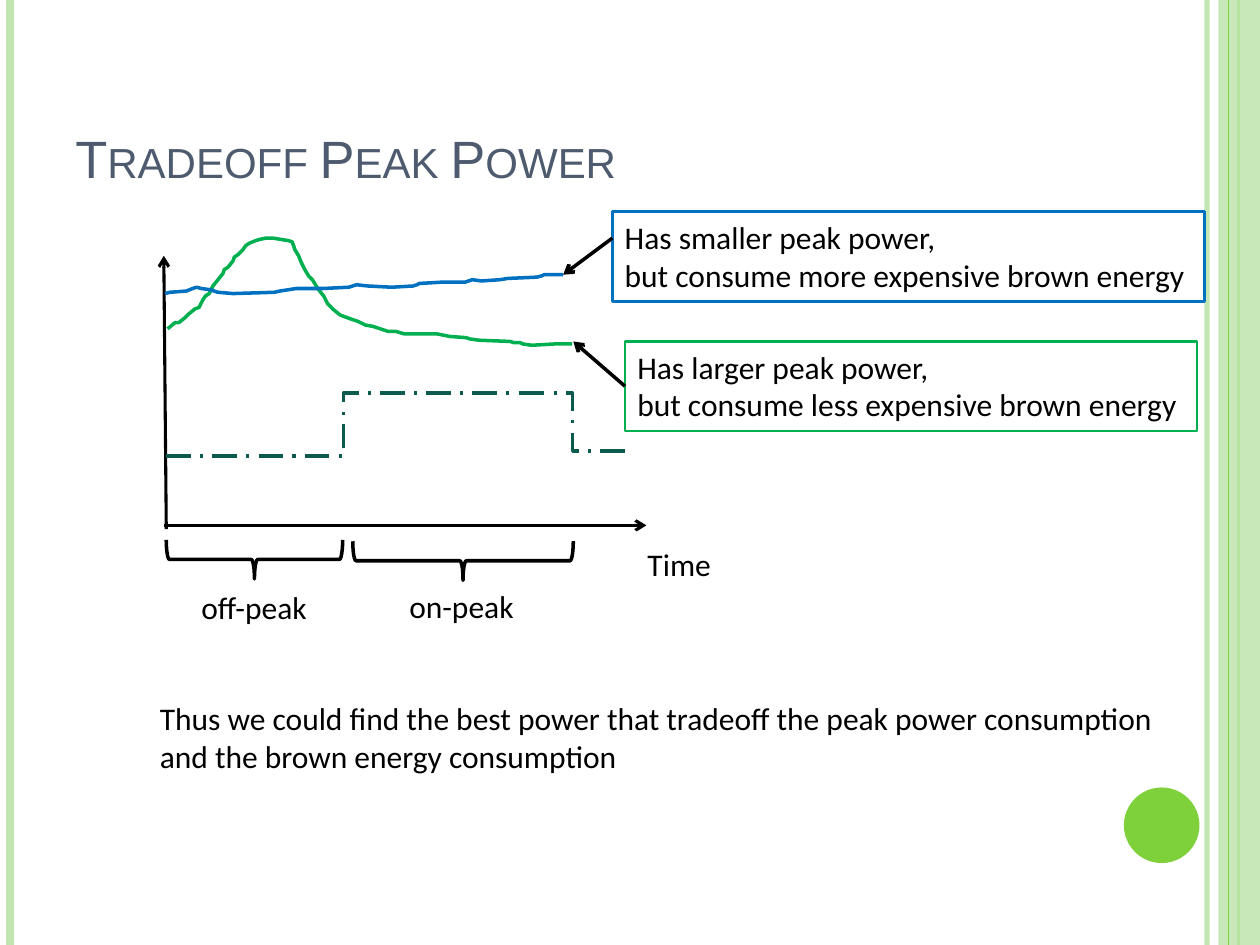
from lxml import etree
from pptx import Presentation, util as u
from pptx.dml.color import RGBColor
from pptx.enum import dml, shapes, text
from pptx.oxml.ns import qn

THEME = {
    "title_font": "Arial", "body_font": "Calibri", "title_size": 30, "body_size": 18,
    "title": "4E5B6F", "ink": "000000", "pale": "C0E5AF", "accent": "7FD13B",
    "price": "0D5A4F", "green": "00B050", "blue": "0070C0",
}
WIDTH, HEIGHT = 10, 7.5

TITLE = "Tradeoff Peak Power"
CONCLUSION = ["Thus we could find the best power that tradeoff the peak power consumption",
              "and the brown energy consumption"]
# lines, frame, colour, border width
CALLOUTS = {
    "smaller": (["Has smaller peak power,", "but consume more expensive brown energy"],
                (4.86, 1.68, 4.7, 0.71), "blue", 1.75),
    "larger": (["Has larger peak power,", "but consume less expensive brown energy"],
               (4.96, 2.71, 4.54, 0.71), "green", 1.5),
}
# label, label frame, brace left, brace centre height, brace span
PERIODS = [("off-peak", (1.5, 4.62, 1.06, 0.4), 1.32, 4.44, 1.4),
           ("on-peak", (3.15, 4.61, 1.04, 0.4), 2.8, 4.45, 1.75)]
# x, colour, width, opacity in percent
STRIPES_BEHIND = [(9.58, "pale", 3, 93), (0.08, "pale", 4.5, 100), (9.83, "accent", 1.5, 100)]
STRIPE_IN_FRONT = (9.75, "accent", 0.75, 100)
PRICE_STEPS = [((1.32, 3.62), (4.13, 3.12)), ((4.96, 3.58), (4.13, 3.12))]
AXES = [((1.32, 4.2), (1.3, 2.03)), ((1.3, 4.17), (5.13, 4.17))]
POWER_CURVES = {
    "green": [
        (1.33, 2.61), (1.39, 2.56), (1.42, 2.56), (1.47, 2.52), (1.5, 2.49), (1.55, 2.45),
        (1.58, 2.44), (1.61, 2.38), (1.63, 2.35), (1.66, 2.33), (1.69, 2.27), (1.73, 2.22),
        (1.77, 2.17), (1.78, 2.14), (1.81, 2.12), (1.85, 2.07), (1.86, 2.04), (1.89, 2.02),
        (1.93, 1.98), (1.95, 1.95), (1.98, 1.93), (2.03, 1.91), (2.06, 1.9), (2.11, 1.89),
        (2.17, 1.89), (2.23, 1.9), (2.29, 1.91), (2.32, 1.92), (2.34, 1.98), (2.37, 2.03),
        (2.39, 2.08), (2.42, 2.14), (2.45, 2.19), (2.48, 2.22), (2.51, 2.27), (2.53, 2.3),
        (2.57, 2.35), (2.6, 2.41), (2.65, 2.46), (2.7, 2.5), (2.78, 2.53), (2.84, 2.55),
        (2.9, 2.58), (2.96, 2.59), (3.08, 2.63), (3.14, 2.63), (3.21, 2.65), (3.3, 2.65),
        (3.47, 2.65), (3.57, 2.67), (3.7, 2.68), (3.73, 2.69), (3.8, 2.7), (4.05, 2.71),
        (4.08, 2.72), (4.13, 2.72), (4.15, 2.73), (4.22, 2.74), (4.4, 2.73), (4.54, 2.73)],
    "blue": [
        (1.31, 2.33), (1.35, 2.32), (1.48, 2.31), (1.53, 2.29), (1.56, 2.28), (1.6, 2.29),
        (1.67, 2.3), (1.7, 2.31), (1.73, 2.32), (1.85, 2.33), (2.18, 2.32), (2.22, 2.31),
        (2.29, 2.3), (2.35, 2.29), (2.56, 2.29), (2.77, 2.28), (2.83, 2.26), (2.92, 2.27),
        (3.11, 2.28), (3.28, 2.27), (3.31, 2.26), (3.33, 2.25), (3.5, 2.24), (3.69, 2.24),
        (3.75, 2.22), (3.82, 2.23), (3.97, 2.22), (4.03, 2.21), (4.26, 2.2), (4.3, 2.19),
        (4.32, 2.18), (4.47, 2.18)],
}


def rgb(role):
    return RGBColor.from_string(THEME[role])


def inches(values):
    return [u.Inches(value) for value in values]


def set_opacity(parent, percent):
    colour = parent.find(qn("a:solidFill"))[0]
    etree.SubElement(colour, qn("a:alpha"), val=str(percent * 1000))


def add_line(slide, start, end, role, width, arrow=False, opacity=100, elbow=False):
    kind = shapes.MSO_CONNECTOR.ELBOW if elbow else shapes.MSO_CONNECTOR.STRAIGHT
    line = slide.shapes.add_connector(kind, *inches(start + end))
    line.line.color.rgb = rgb(role)
    line.line.width = u.Pt(width)
    stroke = line.line._get_or_add_ln()
    if opacity < 100:
        set_opacity(stroke, opacity)
    if elbow:
        line.line.dash_style = dml.MSO_LINE.LONG_DASH_DOT
    if arrow:
        etree.SubElement(stroke, qn("a:tailEnd"), type="arrow")
    etree.SubElement(line._element.spPr, qn("a:effectLst"))
    return line


def add_stripe(slide, x, role, width, opacity):
    add_line(slide, (x, 0), (x, HEIGHT), role, width, opacity=opacity)


def style(shape, fill=None, line=None, width=1):
    """Give a shape a flat fill and outline; None leaves that part empty."""
    shape.shadow.inherit = False
    if fill:
        shape.fill.solid()
        shape.fill.fore_color.rgb = rgb(fill)
    else:
        shape.fill.background()
    if line:
        shape.line.color.rgb = rgb(line)
        shape.line.width = u.Pt(width)
    else:
        shape.line.fill.background()
    return shape


def add_preset(slide, preset, frame, **look):
    return style(slide.shapes.add_shape(preset, *inches(frame)), **look)


def write(shape, lines, wrap=False, anchor=text.MSO_ANCHOR.TOP, kind="body", role="ink"):
    frame = shape.text_frame
    frame.word_wrap = wrap
    frame.vertical_anchor = anchor
    for index, line in enumerate(lines):
        paragraph = frame.add_paragraph() if index else frame.paragraphs[0]
        paragraph.alignment = text.PP_ALIGN.LEFT
        run = paragraph.add_run()
        run.text = line
        run.font.name = THEME[kind + "_font"]
        run.font.size = u.Pt(THEME[kind + "_size"])
        run.font.color.rgb = rgb(role)
    return frame


def add_label(slide, frame, lines, **options):
    return write(slide.shapes.add_textbox(*inches(frame)), lines, **options)


def add_brace(slide, left, centre, span, depth=0.31):
    """Draw a brace that opens upwards over a span of the time axis."""
    frame = (left + (span - depth) / 2, centre - span / 2, depth, span)
    brace = add_preset(slide, shapes.MSO_SHAPE.LEFT_BRACE, frame, line="ink", width=2)
    brace.rotation = 270


def add_curve(slide, role, points):
    start, *rest = [inches(point) for point in points]
    builder = slide.shapes.build_freeform(*start)
    builder.add_line_segments(rest, close=False)
    style(builder.convert_to_shape(), line=role, width=2)


def add_frame_decoration(slide):
    for stripe in STRIPES_BEHIND:
        add_stripe(slide, *stripe)
    band = add_preset(slide, shapes.MSO_SHAPE.RECTANGLE, (9.67, 0, WIDTH - 9.67, HEIGHT), fill="pale")
    set_opacity(band._element.spPr, 87)
    add_stripe(slide, *STRIPE_IN_FRONT)
    add_preset(slide, shapes.MSO_SHAPE.OVAL, (8.92, 6.25, 0.6, 0.6), fill="accent")


def add_diagram(slide):
    for start, end in AXES:
        add_line(slide, start, end, "ink", 1.75, arrow=True)
    add_label(slide, (5.04, 4.28, 0.71, 0.4), ["Time"])
    for start, end in PRICE_STEPS:
        add_line(slide, start, end, "price", 1.75, elbow=True)
    for label, frame, left, centre, span in PERIODS:
        add_brace(slide, left, centre, span)
        add_label(slide, frame, [label])
    for role, points in POWER_CURVES.items():
        add_curve(slide, role, points)
    boxes = {}
    for name, (lines, frame, role, width) in CALLOUTS.items():
        boxes[name] = add_preset(slide, shapes.MSO_SHAPE.RECTANGLE, frame, line=role, width=width)
        write(boxes[name], lines)
    add_line(slide, (4.86, 1.89), (4.47, 2.18), "ink", 2, arrow=True)
    pointer = add_line(slide, (4.96, 3.07), (4.55, 2.71), "ink", 2, arrow=True)
    pointer.begin_connect(boxes["larger"], 1)


def main():
    deck = Presentation()
    deck.slide_width, deck.slide_height = inches((WIDTH, HEIGHT))
    slide = deck.slides.add_slide(deck.slide_layouts[6])
    add_frame_decoration(slide)
    heading = add_label(slide, (0.5, 0.3, 8.17, 1.25), [TITLE], wrap=True,
                        anchor=text.MSO_ANCHOR.BOTTOM, kind="title", role="title")
    heading.paragraphs[0].runs[0].font._element.set("cap", "small")
    add_diagram(slide)
    add_label(slide, (1.17, 5.5, 8.18, 0.71), CONCLUSION)
    deck.save("out.pptx")


if __name__ == "__main__":
    main()
